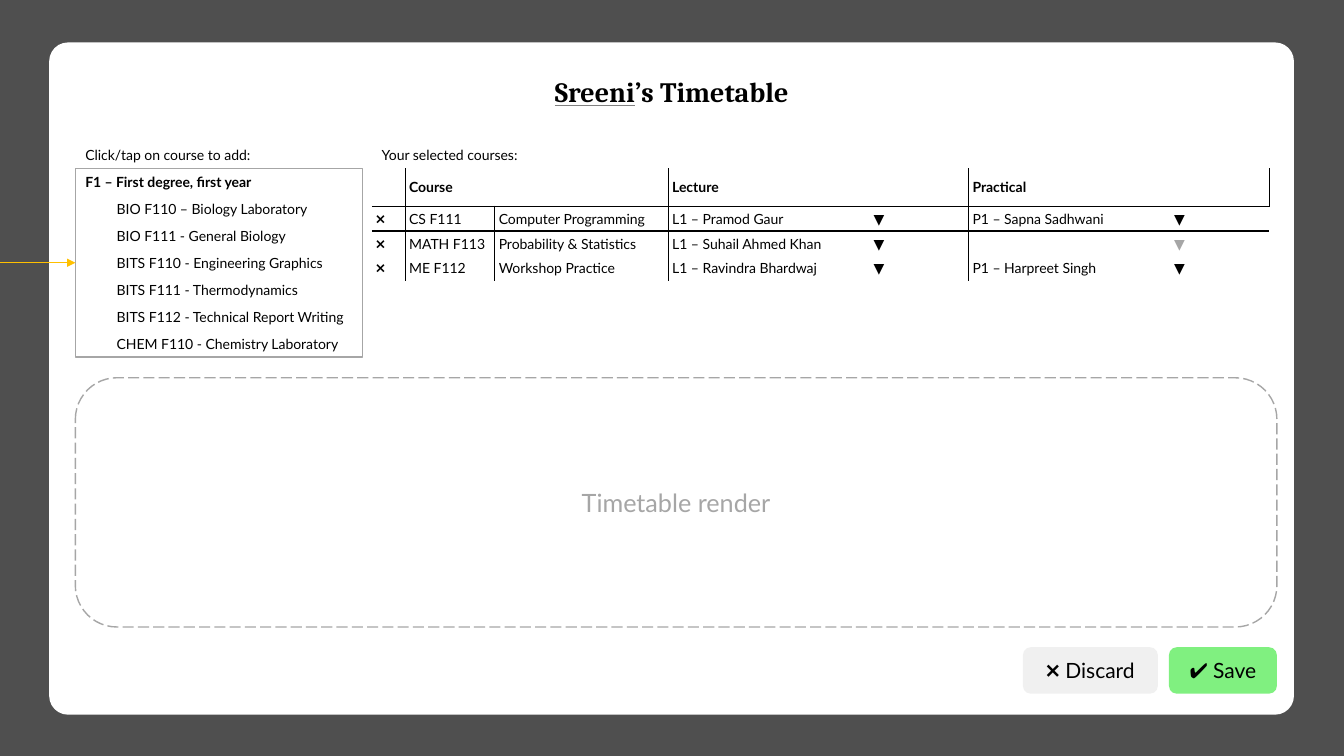
from dataclasses import dataclass

from lxml.etree import SubElement
from pptx import Presentation
from pptx.dml.color import RGBColor
from pptx.enum.dml import MSO_LINE
from pptx.enum.shapes import MSO_CONNECTOR, MSO_SHAPE
from pptx.enum.text import MSO_ANCHOR, MSO_AUTO_SIZE, PP_ALIGN
from pptx.oxml import parse_xml
from pptx.oxml.ns import nsdecls, qn
from pptx.shapes.autoshape import Shape
from pptx.slide import Slide
from pptx.table import Table, _Cell
from pptx.text.text import TextFrame
from pptx.util import Cm, Pt


@dataclass(frozen=True)
class Theme:
    back: str = "4F4F4F"
    white: str = "FFFFFF"
    ink: str = "000000"
    grey: str = "A6A6A6"
    rule: str = "808080"
    arrow: str = "FFC000"
    plain: str = "F0F0F0"
    green: str = "80F080"
    head: str = "Cambria"
    body: str = "Lato"
    small: float = 10
    button: float = 15
    large: float = 18
    title: float = 20


@dataclass(frozen=True)
class Box:
    left: float
    top: float
    width: float
    height: float

    def place(self) -> tuple[Cm, Cm, Cm, Cm]:
        return Cm(self.left), Cm(self.top), Cm(self.width), Cm(self.height)


@dataclass(frozen=True)
class Label:
    text: str
    box: Box
    bold: bool = False


@dataclass(frozen=True)
class Button:
    text: str
    box: Box
    fill: str


THEME = Theme()
EDGE, TOP, STEP, INDENT = 1.9, 4.24, 0.68, 0.79
LIST = Box(EDGE, TOP, 7.24, 7 * STEP)
TABLE = Box(9.37, TOP, 22.61, 2.48)
COLS = [0.84, 2.26, 4.37, 7.57, 7.57]
RULED = {0, 2, 3}  # columns with a line on their right
COURSES = [
    "BIO F110 – Biology Laboratory",
    "BIO F111 - General Biology",
    "BITS F110 - Engineering Graphics",
    "BITS F111 - Thermodynamics",
    "BITS F112 - Technical Report Writing",
    "CHEM F110 - Chemistry Laboratory",
]
ROWS = [
    ["", "Course", "", "Lecture", "Practical"],
    ["❌", "CS F111", "Computer Programming", "L1 – Pramod Gaur\t▼", "P1 – Sapna Sadhwani\t▼"],
    ["❌", "MATH F113", "Probability & Statistics", "L1 – Suhail Ahmed Khan\t▼", "\t\t▼"],
    ["❌", "ME F112", "Workshop Practice", "L1 – Ravindra Bhardwaj\t▼", "P1 – Harpreet Singh\t▼"],
]
LABELS = [
    Label("Click/tap on course to add:", Box(EDGE, 3.56, 7.24, STEP)),
    Label("Your selected courses:", Box(TABLE.left, 3.56, 7.52, STEP)),
    Label("F1 – First degree, first year", Box(EDGE, TOP, LIST.width, STEP), True),
] + [
    Label(text, Box(EDGE + INDENT, TOP + n * STEP, LIST.width - INDENT, STEP))
    for n, text in enumerate(COURSES, 1)
]
BUTTONS = [
    Button("❌ Discard", Box(25.78, 16.31, 3.4, 1.17), THEME.plain),
    Button("✔ Save", Box(29.46, 16.31, 2.72, 1.17), THEME.green),
]


def write(frame: TextFrame, text: str, *, size: float = THEME.small, font: str = THEME.body,
          color: str = THEME.ink, bold: bool = False, under: bool = False,
          align: PP_ALIGN = PP_ALIGN.LEFT) -> None:
    """Add a formatted run to the first paragraph."""
    frame.word_wrap = True
    frame.vertical_anchor = MSO_ANCHOR.MIDDLE
    para = frame.paragraphs[0]
    para.alignment = align
    run = para.add_run()
    run.text = text
    face = run.font
    face.size, face.name, face.bold, face.underline = Pt(size), font, bold, under
    face.color.rgb = RGBColor.from_string(color)
    if under:
        line = parse_xml(f'<a:uFill {nsdecls("a")}><a:solidFill>'
                         f'<a:srgbClr val="{THEME.rule}"/></a:solidFill></a:uFill>')
        run._r.rPr.find(qn("a:latin")).addprevious(line)


def draw(slide: Slide, kind: MSO_SHAPE, box: Box, fill: str = "", line: str = "") -> Shape:
    shape = slide.shapes.add_shape(kind, *box.place())
    shape.shadow.inherit = False
    if fill:
        shape.fill.solid()
        shape.fill.fore_color.rgb = RGBColor.from_string(fill)
    else:
        shape.fill.background()
    if line:
        shape.line.color.rgb = RGBColor.from_string(line)
        shape.line.width = Pt(1)
    else:
        shape.line.fill.background()
    return shape


def border(cell: _Cell, sides: dict[str, float]) -> None:
    """Draw the given sides, in the order L, R, T, B."""
    props = cell._tc.get_or_add_tcPr()
    for n, (side, width) in enumerate(sides.items()):
        props.insert(n, parse_xml(
            f'<a:ln{side} {nsdecls("a")} w="{Pt(width)}"><a:solidFill>'
            f'<a:srgbClr val="{THEME.ink}"/></a:solidFill></a:ln{side}>'))


def fill_cell(cell: _Cell, row: int, col: int) -> None:
    text = ROWS[row][col]
    cell.fill.background()
    cell.margin_left = cell.margin_right = cell.margin_top = cell.margin_bottom = Cm(0.1)
    cell.vertical_anchor = MSO_ANCHOR.MIDDLE
    frame = cell.text_frame
    if text.startswith("\t"):
        write(frame, text[:-1])
        write(frame, text[-1], color=THEME.grey)
    else:
        write(frame, text, bold=row == 0)
    if "\t" in text:
        tabs = SubElement(frame.paragraphs[0]._p.get_or_add_pPr(), qn("a:tabLst"))
        for stop in (2.54, 5.08):
            SubElement(tabs, qn("a:tab"), pos=str(Cm(stop)), algn="l")
    sides = {}
    if col - 1 in RULED:
        sides["L"] = 0.5
    if col in RULED or text == "Course":
        sides["R"] = 0.5
    if row == 1:
        sides["T"] = 1.5
    if row == 0:
        sides["B"] = 1.5
    border(cell, sides)


def add_grid(slide: Slide) -> Table:
    grid = slide.shapes.add_table(len(ROWS), len(COLS), *TABLE.place()).table
    grid.first_row = grid.horz_banding = False
    style = grid._tbl.tblPr.find(qn("a:tableStyleId"))
    style.text = "{2D5ABB26-0587-4C30-8999-92F81FD0307C}"
    for col, width in zip(grid.columns, COLS):
        col.width = Cm(width)
    for r, row in enumerate(grid.rows):
        row.height = Cm(TABLE.height / len(ROWS))
        for c, cell in enumerate(row.cells):
            fill_cell(cell, r, c)
    grid.cell(0, 1).merge(grid.cell(0, 2))
    return grid


def add_arrow(slide: Slide, goal: Shape) -> None:
    level = Cm(LIST.top + LIST.height / 2)
    arrow = slide.shapes.add_connector(MSO_CONNECTOR.STRAIGHT, 0, level, Cm(LIST.left), level)
    arrow.end_connect(goal, 1)
    arrow.line.color.rgb = RGBColor.from_string(THEME.arrow)
    arrow.line.width = Pt(0.5)
    SubElement(arrow.line._get_or_add_ln(), qn("a:tailEnd"), type="triangle")
    SubElement(arrow._element.spPr, qn("a:effectLst"))


def main() -> None:
    deck = Presentation()
    deck.slide_width, deck.slide_height = Cm(33.87), Cm(19.05)
    slide = deck.slides.add_slide(deck.slide_layouts[5])
    slide.background.fill.solid()
    slide.background.fill.fore_color.rgb = RGBColor.from_string(THEME.back)

    # Panel, behind the title
    panel = draw(slide, MSO_SHAPE.ROUNDED_RECTANGLE, Box(1.24, 1.07, 31.37, 16.94), THEME.white)
    panel.adjustments[0] = 0.028
    title = slide.shapes.title
    title._element.addprevious(panel._element)
    title.left, title.top, title.width, title.height = Box(12.6, 1.75, 8.66, 1.12).place()
    title.text_frame.auto_size = MSO_AUTO_SIZE.NONE
    for text, under in (("Sreeni", True), ("’s Timetable", False)):
        write(title.text_frame, text, size=THEME.title, font=THEME.head, bold=True,
              under=under, align=PP_ALIGN.CENTER)

    # Course list and labels
    frame = draw(slide, MSO_SHAPE.RECTANGLE, LIST, line=THEME.grey)
    for label in LABELS:
        text = slide.shapes.add_textbox(*label.box.place()).text_frame
        write(text, label.text, bold=label.bold)

    # Selected courses
    add_grid(slide)
    add_arrow(slide, frame)

    # Buttons and timetable area
    for item in BUTTONS:
        button = draw(slide, MSO_SHAPE.ROUNDED_RECTANGLE, item.box, item.fill)
        write(button.text_frame, item.text, size=THEME.button, align=PP_ALIGN.CENTER)
    area = draw(slide, MSO_SHAPE.ROUNDED_RECTANGLE, Box(EDGE, 9.52, 30.28, 6.28), line=THEME.grey)
    area.line.dash_style = MSO_LINE.LONG_DASH
    write(area.text_frame, "Timetable render", size=THEME.large, color=THEME.grey,
          align=PP_ALIGN.CENTER)

    deck.save("out.pptx")


if __name__ == "__main__":
    main()
